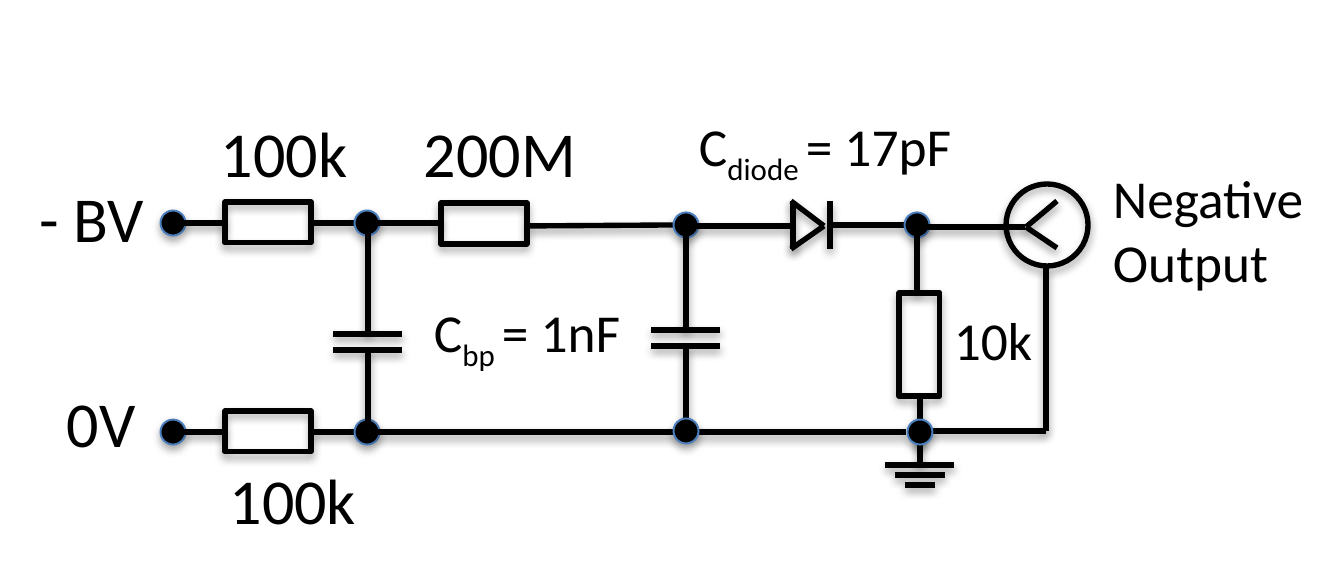
from dataclasses import dataclass
from typing import Any

from pptx import Presentation
from pptx import util as u
from pptx.dml.color import RGBColor
from pptx.enum import shapes, text
from pptx.oxml import parse_xml
from pptx.oxml.ns import nsdecls

PIXELS_PER_INCH = 192
BLACK = RGBColor(0x00, 0x00, 0x00)
NODE_EDGE = RGBColor(0x4B, 0x7E, 0xBC)
FONT = "Calibri"
LARGE, MEDIUM = 24, 20
NODE = 25
PLATE = 69


def px(length):
    """Turn pixels into EMU."""
    return u.Emu(round(length * u.Inches(1) / PIXELS_PER_INCH))


def cast_shadow(item, distance, opacity):
    """Give a shape or connector a soft shadow straight below it."""
    properties = item._element.spPr
    properties.append(parse_xml(
        f'<a:effectLst {nsdecls("a")}>'
        f'<a:outerShdw blurRad="{u.Pt(3.15)}" dist="{u.Pt(distance)}" dir="5400000" rotWithShape="0">'
        f'<a:srgbClr val="{BLACK}"><a:alpha val="{opacity * 1000}"/></a:srgbClr>'
        "</a:outerShdw></a:effectLst>"))


@dataclass
class Region:
    """A part of the circuit whose contents are placed from its left top corner."""
    page: Any
    left: int
    top: int

    def wire(self, x1, y1, x2, y2):
        """Draw a straight wire between two points."""
        line = self.page.shapes.add_connector(
            shapes.MSO_CONNECTOR.STRAIGHT, px(self.left + x1), px(self.top + y1),
            px(self.left + x2), px(self.top + y2))
        line.line.color.rgb = BLACK
        line.line.width = u.Pt(2)
        cast_shadow(line, 1.6, 38)

    def outline(self, kind, x, y, width, height, fill=None, edge=BLACK, weight=2):
        """Draw a preset shape, hollow unless a fill is given."""
        shape = self.page.shapes.add_shape(
            kind, px(self.left + x), px(self.top + y), px(width), px(height))
        if fill is None:
            shape.fill.background()
        else:
            shape.fill.solid()
            shape.fill.fore_color.rgb = fill
        shape.line.color.rgb = edge
        shape.line.width = u.Pt(weight)
        cast_shadow(shape, 1.8, 35)

    def node(self, x, y):
        """Draw a junction dot centred on a point."""
        self.outline(shapes.MSO_SHAPE.OVAL, x - NODE / 2, y - NODE / 2, NODE, NODE,
                     BLACK, NODE_EDGE, 0.75)

    def resistor(self, x, y, width=86, height=41):
        """Draw a resistor body."""
        self.outline(shapes.MSO_SHAPE.RECTANGLE, x, y, width, height)

    def label(self, x, y, width, height, size, *lines):
        """Write lines, each a list of spans; every second span is a subscript."""
        box = self.page.shapes.add_textbox(
            px(self.left + x), px(self.top + y), px(width), px(height))
        frame = box.text_frame
        frame.word_wrap = True
        frame.auto_size = text.MSO_AUTO_SIZE.SHAPE_TO_FIT_TEXT
        for number, spans in enumerate(lines):
            para = frame.add_paragraph() if number else frame.paragraphs[0]
            for position, words in enumerate(spans):
                span = para.add_run()
                span.text = words
                span.font.name = FONT
                span.font.size = u.Pt(size)
                span.font.color.rgb = BLACK
                if position % 2:
                    span._r.get_or_add_rPr().set("baseline", "-25000")


def input_rail(page, left, top):
    """Draw a terminal, its series resistor and the junction after it."""
    rail = Region(page, left, top)
    rail.node(0, 0)
    rail.wire(10, 0, 52, 0)
    rail.resistor(52, -21)
    rail.wire(140, 0, 182, 0)
    rail.node(194, 0)


def shunt_capacitor(page, left, top, drop, gap=16):
    """Draw a capacitor hanging from the upper rail down to the lower one."""
    branch = Region(page, left, top)
    plate = 108
    branch.wire(0, 6, 0, plate)
    for y in (plate, plate + gap):
        branch.wire(-PLATE / 2, y, PLATE / 2, y)
    branch.wire(0, plate + gap, 0, drop)


def filter_stage(page, left, top):
    """Draw the filter resistor and the junction that follows it."""
    stage = Region(page, left, top)
    stage.wire(4, 1, 73, 1)
    stage.resistor(73, -19)
    stage.wire(160, 4, 306, 3)
    stage.node(318, 3)


def diode_stage(page, left, top):
    """Draw the diode with its leads."""
    stage = Region(page, left, top)
    stage.wire(2, 1, 105, 1)
    for y in (-24, 24):
        stage.wire(105, y, 138, 1)
    stage.wire(107, 24, 107, -24)
    stage.wire(144, 24, 144, -24)
    stage.wire(146, 0, 219, 0)
    stage.node(231, 0)


def output_stage(page, left, top):
    """Draw the load resistor, the output connector and its return wire."""
    stage = Region(page, left, top)
    stage.wire(2, 2, 108, 2)
    stage.wire(0, 4, 0, 68)
    stage.resistor(-18, 68, 41, 103)
    stage.wire(3, 172, 3, 220)
    stage.outline(shapes.MSO_SHAPE.OVAL, 89, -41, 82, 82)
    for y in (-24, 23):
        stage.wire(140, y, 109, 2)
    stage.wire(129, 43, 129, 206)
    stage.wire(8, 206, 129, 206)


def ground(page, left, top):
    """Draw the ground symbol below its junction."""
    symbol = Region(page, left, top)
    symbol.wire(0, -7, 0, 33)
    for step, width in enumerate((PLATE, 50, 30)):
        y = 33 + 10 * step
        symbol.wire(-width / 2, y, width / 2, y)
    symbol.node(0, 0)


def labels(page, left, top):
    """Write the component values and terminal names."""
    area = Region(page, left, top)
    area.label(21, 169, 303, 96, LARGE, ["- BV"])
    area.label(48, 374, 113, 96, LARGE, ["0V"])
    area.label(202, 104, 165, 96, LARGE, ["100k"])
    area.label(211, 451, 177, 96, LARGE, ["100k"])
    area.label(405, 104, 196, 96, LARGE, ["200M"])
    area.label(415, 290, 276, 84, MEDIUM, ["C", "bp ", "= 1nF"])
    area.label(680, 104, 324, 84, MEDIUM, ["C", "diode ", "= 17pF"])
    area.label(935, 298, 138, 84, MEDIUM, ["10k"])
    area.label(1094, 156, 242, 148, MEDIUM, ["Negative"], ["Output"])


def build():
    """Build the circuit slide and save it."""
    deck = Presentation()
    deck.slide_width, deck.slide_height = px(1344), px(576)
    page = deck.slides.add_slide(deck.slide_layouts[6])
    input_rail(page, 173, 223)
    input_rail(page, 173, 432)
    filter_stage(page, 368, 222)
    shunt_capacitor(page, 368, 226, 206)
    shunt_capacitor(page, 686, 222, 210)
    diode_stage(page, 686, 225)
    output_stage(page, 917, 225)
    lower_rail = Region(page, 367, 432)
    lower_rail.wire(0, 0, 539, 0)
    lower_rail.node(319, -1)
    ground(page, 920, 432)
    labels(page, 0, 0)
    deck.save("out.pptx")


build()
